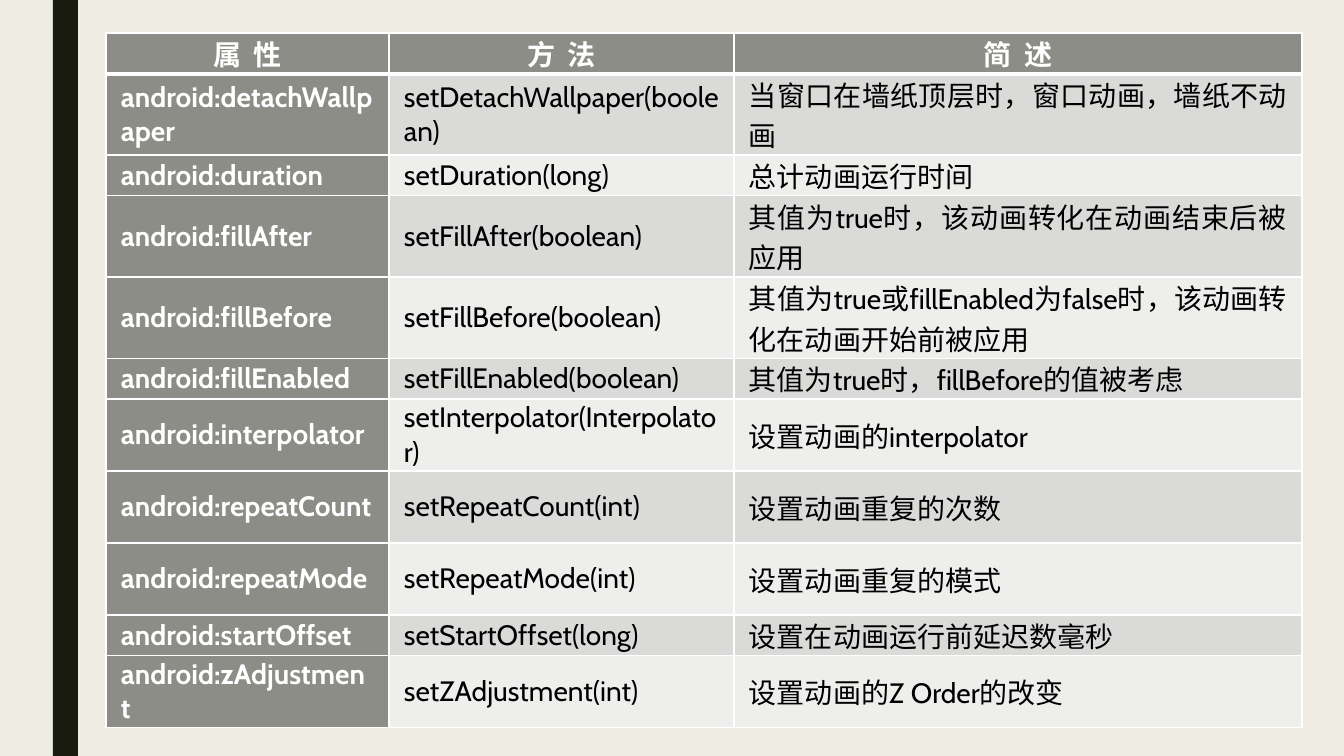
from lxml.etree import SubElement
from pptx import Presentation
from pptx.dml.color import RGBColor
from pptx.enum.shapes import MSO_SHAPE
from pptx.enum.text import MSO_ANCHOR, PP_ALIGN
from pptx.oxml.ns import qn
from pptx.util import Emu, Pt

THEME = {
    "page": "EFEDE3",
    "bar": "191B0E",
    "head": "8C8D86",
    "bands": ["EEEEED", "DADBD9"],
    "light": "FFFFFF",
    "dark": "000000",
    "font": "Cabin",
    "size": 20,
    "thin": 1,
    "thick": 3,
}
ROWS = [
    (38, "属  性", "方  法", "简  述"),
    (72, "android:detachWallpaper", "setDetachWallpaper(boolean)", "当窗口在墙纸顶层时，窗口动画，墙纸不动画"),
    (38, "android:duration", "setDuration(long)", "总计动画运行时间"),
    (72, "android:fillAfter", "setFillAfter(boolean)", "其值为true时，该动画转化在动画结束后被应用"),
    (72, "android:fillBefore", "setFillBefore(boolean)", "其值为true或fillEnabled为false时，该动画转化在动画开始前被应用"),
    (40, "android:fillEnabled", "setFillEnabled(boolean)", "其值为true时，fillBefore的值被考虑"),
    (72, "android:interpolator", "setInterpolator(Interpolator)", "设置动画的interpolator"),
    (72, "android:repeatCount", "setRepeatCount(int)", "设置动画重复的次数"),
    (72, "android:repeatMode", "setRepeatMode(int)", "设置动画重复的模式"),
    (40, "android:startOffset", "setStartOffset(long)", "设置在动画运行前延迟数毫秒"),
    (72, "android:zAdjustment", "setZAdjustment(int)", "设置动画的Z Order的改变"),
]
COLS = [283, 345, 568]


def px(n):
    return Emu(round(n * 914400 / 100.8))


def edge(cell, side, width):
    line = SubElement(cell._tc.get_or_add_tcPr(), qn(f"a:ln{side}"), w=str(Pt(width)))
    fill = SubElement(line, qn("a:solidFill"))
    SubElement(fill, qn("a:srgbClr"), val=THEME["light"])


deck = Presentation()
deck.slide_width, deck.slide_height = px(1344), px(756)
slide = deck.slides.add_slide(deck.slide_layouts[6])
back = slide.background.fill
back.solid()
back.fore_color.rgb = RGBColor.from_string(THEME["page"])

bar = slide.shapes.add_shape(MSO_SHAPE.RECTANGLE, px(53), 0, px(25), px(756))
bar.shadow.inherit = False
bar.fill.solid()
bar.fill.fore_color.rgb = RGBColor.from_string(THEME["bar"])
bar.line.fill.background()

high = sum(row[0] for row in ROWS)
frame = slide.shapes.add_table(len(ROWS), len(COLS), px(106), px(33), px(sum(COLS)), px(high))
table = frame.table
table.horz_banding = False
for col, width in zip(table.columns, COLS):
    col.width = px(width)

for r, (height, *texts) in enumerate(ROWS):
    table.rows[r].height = px(height)
    for c, text in enumerate(texts):
        cell = table.cell(r, c)
        strong = r == 0 or c == 0
        for side in "LRTB":
            heavy = (r, side) in [(0, "B"), (1, "T")]
            edge(cell, side, THEME["thick"] if heavy else THEME["thin"])
        cell.fill.solid()
        shade = THEME["head"] if strong else THEME["bands"][r % 2]
        cell.fill.fore_color.rgb = RGBColor.from_string(shade)
        cell.vertical_anchor = MSO_ANCHOR.MIDDLE
        cell.margin_left = cell.margin_right = px(15)
        cell.margin_top = cell.margin_bottom = 0
        cell.text_frame.text = text
        para = cell.text_frame.paragraphs[0]
        para.alignment = PP_ALIGN.CENTER if r == 0 else PP_ALIGN.JUSTIFY
        font = para.runs[0].font
        font.name = THEME["font"]
        font.size = Pt(THEME["size"])
        font.bold = strong
        font.color.rgb = RGBColor.from_string(THEME["light" if strong else "dark"])

deck.save("out.pptx")
